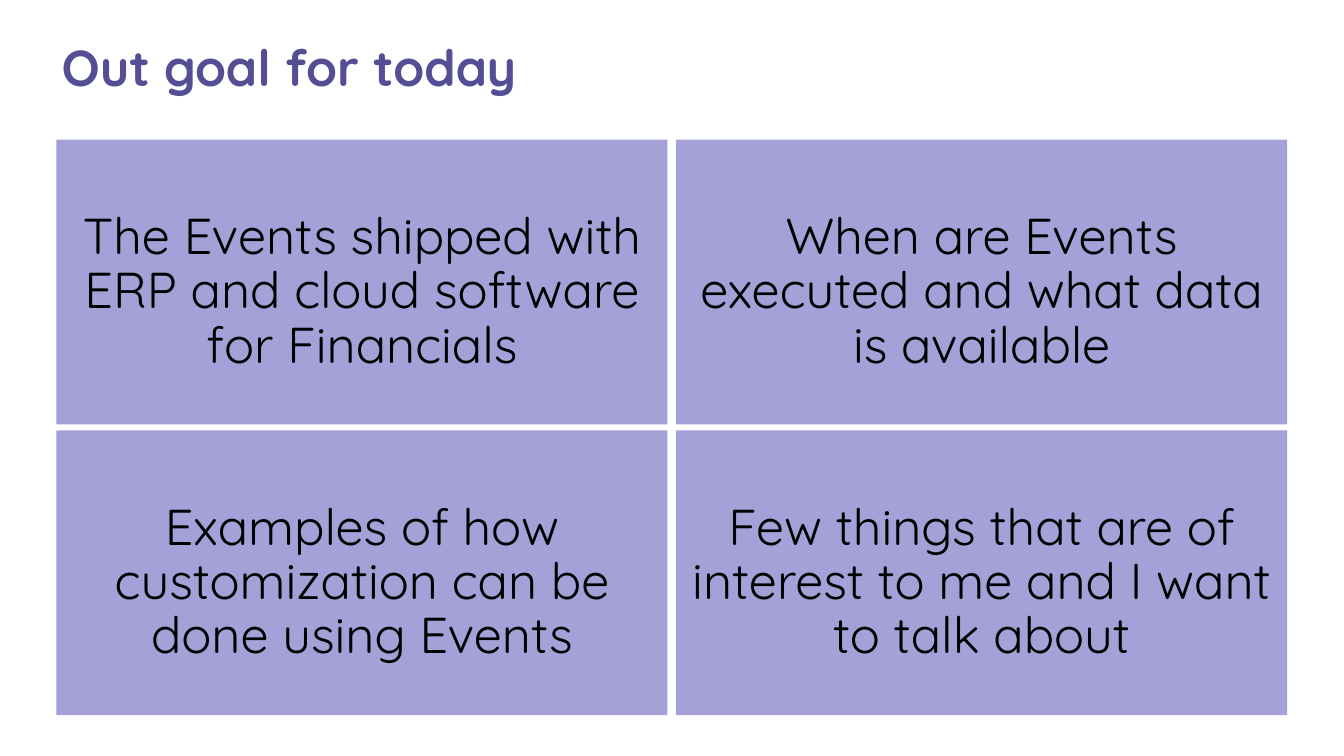
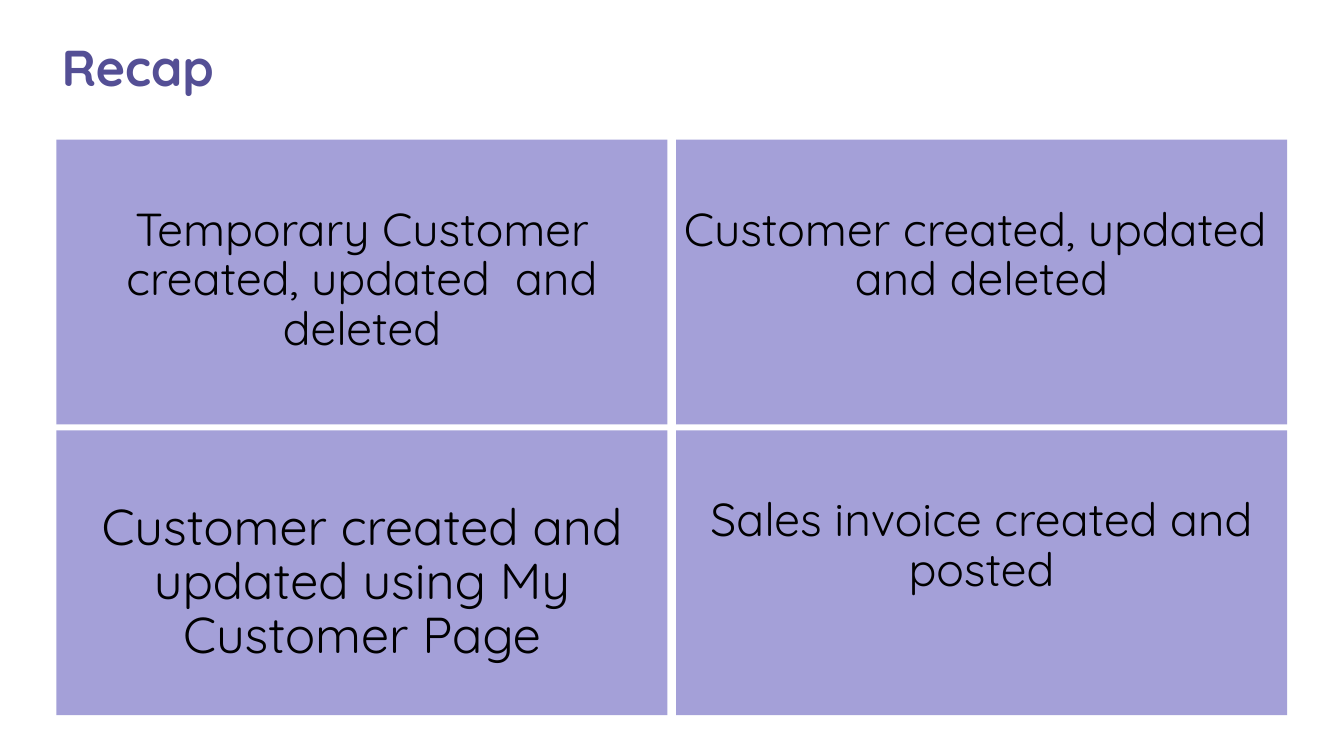
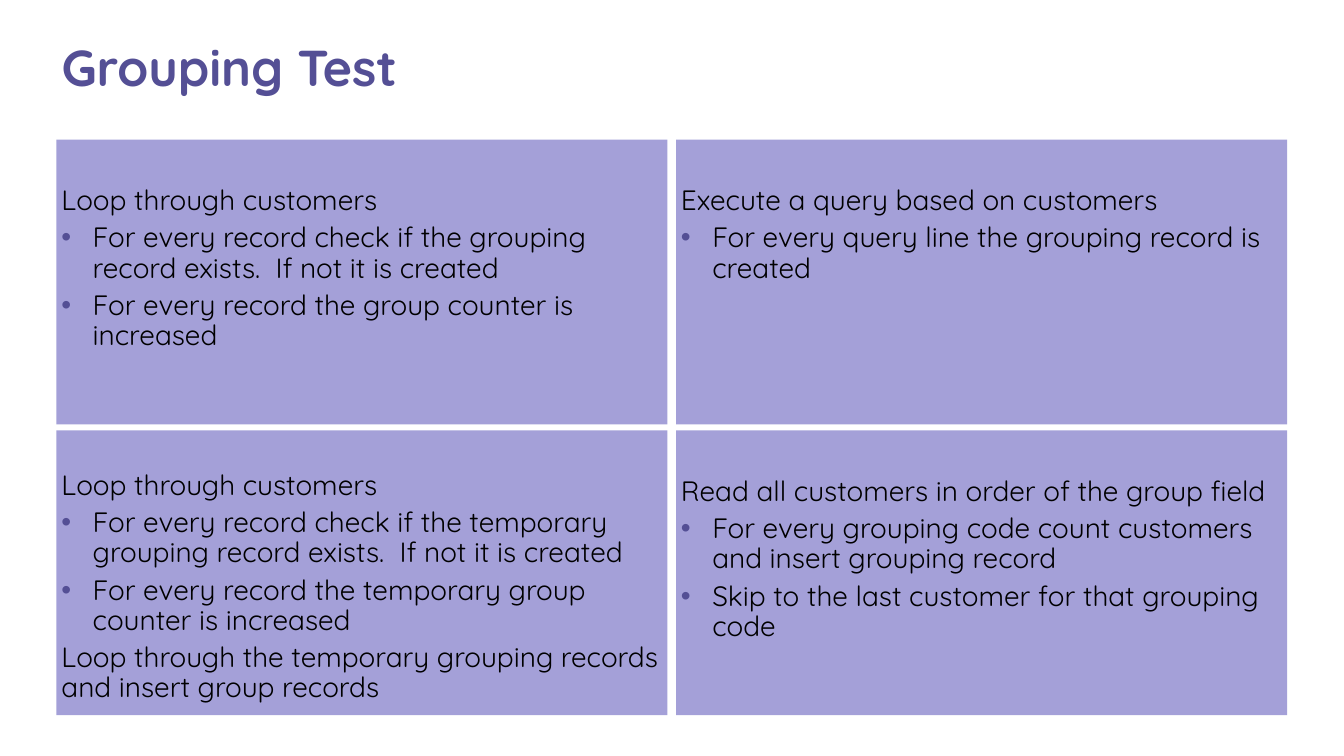
from lxml.etree import SubElement
from pptx import Presentation
from pptx.dml.color import RGBColor
from pptx.enum.shapes import MSO_SHAPE
from pptx.enum.text import MSO_ANCHOR, MSO_AUTO_SIZE, PP_ALIGN
from pptx.oxml.ns import qn
from pptx.util import Pt

SCALE = 9144
INK = RGBColor(0x54, 0x4F, 0x95)
TILE = RGBColor(0xA4, 0xA0, 0xD8)
BLACK = RGBColor(0, 0, 0)
FONT = "Quicksand"

LEFT, TOP = 112, 277
WIDE, HIGH = 1212, 565
STEP_X, STEP_Y = 1229, 577
INDENT = 62


def px(num):
    return num * SCALE


def apply(item, style):
    for name, value in style.items():
        setattr(item, name, value)


class Deck:
    def __init__(self):
        self.file = Presentation()
        apply(self.file, {"slide_width": px(2666), "slide_height": px(1500)})
        self.slide = None

    def page(self, text):
        self.slide = self.file.slides.add_slide(self.file.slide_layouts[5])
        title = self.slide.shapes.title
        apply(title, {"left": px(LEFT), "top": px(41),
                      "width": px(2441), "height": px(197)})
        self.frame(title.text_frame, MSO_ANCHOR.MIDDLE, 5)
        self.line(title.text_frame.paragraphs[0], text, 72, PP_ALIGN.LEFT,
                  color=INK, bold=True)

    def frame(self, frame, anchor, top):
        apply(frame, {"word_wrap": True, "auto_size": MSO_AUTO_SIZE.NONE,
                      "vertical_anchor": anchor, "margin_top": px(top),
                      "margin_bottom": px(5), "margin_left": px(10),
                      "margin_right": px(10)})

    def line(self, para, text, size, align, color=BLACK, bold=False):
        apply(para, {"alignment": align, "line_spacing": 0.9})
        run = para.add_run()
        run.text = text
        apply(run.font, {"name": FONT, "size": Pt(size), "bold": bold})
        run.font.color.rgb = color

    def dot(self, para):
        props = para._p.get_or_add_pPr()
        props.set("marL", str(px(INDENT)))
        props.set("indent", str(-px(INDENT)))
        tint = SubElement(props, qn("a:buClr"))
        SubElement(tint, qn("a:srgbClr")).set("val", str(INK))
        SubElement(props, qn("a:buFont")).set("typeface", "Arial")
        SubElement(props, qn("a:buChar")).set("char", "•")

    def tile(self, spot, lines, size, align, lead):
        row, col = divmod(spot, 2)
        box = self.slide.shapes.add_shape(
            MSO_SHAPE.RECTANGLE, px(LEFT + col * STEP_X),
            px(TOP + row * STEP_Y), px(WIDE), px(HIGH))
        box.shadow.inherit = False
        box.fill.solid()
        box.fill.fore_color.rgb = TILE
        box.line.fill.background()
        frame = box.text_frame
        self.frame(frame, MSO_ANCHOR.TOP, 33 + lead * 3 // 2)
        for rank, (text, dotted) in enumerate(lines):
            para = frame.add_paragraph() if rank else frame.paragraphs[0]
            if dotted:
                self.dot(para)
            if rank:
                para.space_before = Pt(10)
            self.line(para, text, size, align)

    def grid(self, title, tiles):
        self.page(title)
        for spot, (text, size) in enumerate(tiles):
            self.tile(spot, [(text, False)], size, PP_ALIGN.CENTER, size)

    def lists(self, title, tiles):
        self.page(title)
        for spot, (lines, lead) in enumerate(tiles):
            self.tile(spot, lines, 40, PP_ALIGN.LEFT, lead)


GOALS = [
    ("The Events shipped with ERP and cloud software for Financials", 72),
    ("When are Events executed and what data is available", 72),
    ("Examples of how customization can be done using Events", 72),
    ("Few things that are of interest to me and I want to talk about", 72),
]
RECAP = [
    ("Temporary Customer created, updated  and deleted", 66),
    ("Customer created, updated  and deleted", 66),
    ("Customer created and updated using My Customer Page", 72),
    ("Sales invoice created and posted", 66),
]
TESTS = [
    ([("Loop through customers", False),
      ("For every record check if the grouping record exists.  "
       "If not it is created", True),
      ("For every record the group counter is increased", True)], 40),
    ([("Execute a query based on customers", False),
      ("For every query line the grouping record is created", True)], 40),
    ([("Loop through customers", False),
      ("For every record check if the temporary grouping record exists.  "
       "If not it is created", True),
      ("For every record the temporary group counter is increased", True),
      ("Loop through the temporary grouping records "
       "and insert group records", False)], 32),
    ([("Read all customers in order of the group field", False),
      ("For every grouping code count customers "
       "and insert grouping record", True),
      ("Skip to the last customer for that grouping code", True)], 40),
]


def main():
    deck = Deck()
    deck.grid("Out goal for today", GOALS)
    deck.grid("Recap", RECAP)
    deck.lists("Grouping Test", TESTS)
    deck.file.save("out.pptx")


if __name__ == "__main__":
    main()
